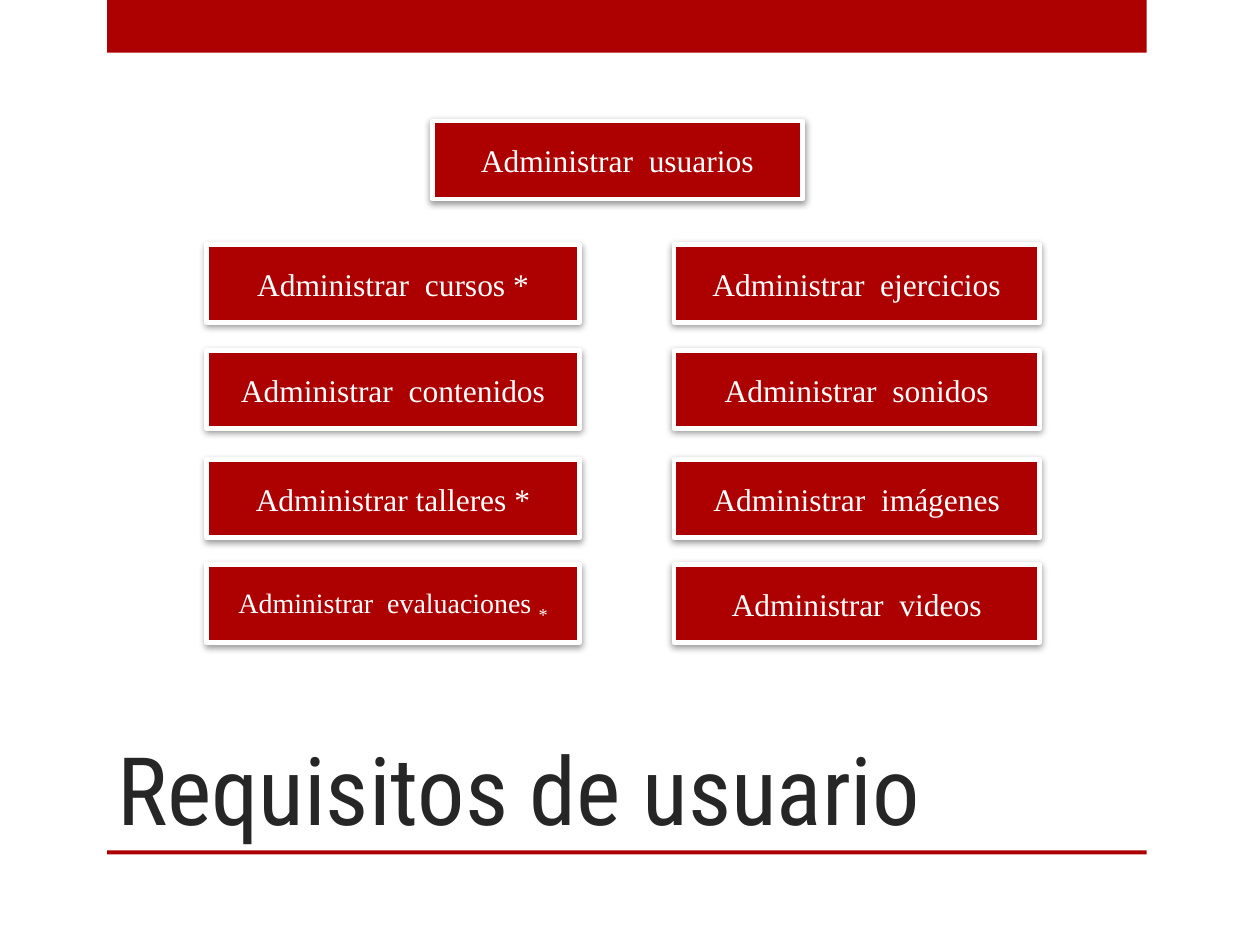
from lxml import etree
from pptx import Presentation
from pptx import util as u
from pptx.dml.color import RGBColor
from pptx.enum import shapes, text
from pptx.oxml import ns

RED, WHITE, DARK = "AD0101", "FFFFFF", "262626"
TITLE = "Requisitos de usuario"
BARS = [(0, 30.1), (486, 2.2)]
BAR_LEFT, BAR_WIDTH = 61.2, 594
BOX_HEIGHT = 44.6
ROW_TOPS = [139.7, 200.2, 262.8, 322.6]
TOP_BOX = (247, 69.1, 211.7, [("Administrar  usuarios", 18, 0)])
COLUMNS = [
    (385.2, 208.8, [
        [("Administrar  ejercicios", 18, 0)],
        [("Administrar  sonidos", 18, 0)],
        [("Administrar  imágenes", 18, 0)],
        [("Administrar  videos", 18, 0)],
    ]),
    (118.1, 213.1, [
        [("Administrar  cursos *", 18, 0)],
        [("Administrar  contenidos", 18, 0)],
        [("Administrar talleres *", 18, 0)],
        [("Administrar  evaluaciones ", 16, 0), ("*", 18, -25000)],
    ]),
]


def color(value):
    return RGBColor.from_string(value)


def add_rectangle(page, left, top, width, height):
    box = page.shapes.add_shape(
        shapes.MSO_SHAPE.RECTANGLE, u.Pt(left), u.Pt(top), u.Pt(width), u.Pt(height))
    box.fill.solid()
    box.fill.fore_color.rgb = color(RED)
    box.line.fill.background()
    box.shadow.inherit = False
    return box


def add_span(para, words, size, font, ink, baseline=0):
    span = para.add_run()
    span.text = words
    span.font.size = u.Pt(size)
    span.font.name = font
    span.font.color.rgb = color(ink)
    if baseline:
        span.font._element.set("baseline", str(baseline))


def add_shadow(box):
    effects = box._element.spPr.find(ns.qn("a:effectLst"))
    shadow = etree.SubElement(
        effects, ns.qn("a:outerShdw"), blurRad=str(u.Pt(4)), dist=str(u.Pt(1.25)),
        dir="5280000", rotWithShape="0")
    tint = etree.SubElement(shadow, ns.qn("a:srgbClr"), val="000000")
    etree.SubElement(tint, ns.qn("a:alpha"), val="40000")


def add_requirement(page, left, top, width, spans):
    box = add_rectangle(page, left, top, width, BOX_HEIGHT)
    box.line.color.rgb = color(WHITE)
    box.line.width = u.Pt(2.75)
    add_shadow(box)
    frame = box.text_frame
    frame.word_wrap = True
    frame.vertical_anchor = text.MSO_ANCHOR.MIDDLE
    para = frame.paragraphs[0]
    para.alignment = text.PP_ALIGN.CENTER
    for words, size, baseline in spans:
        add_span(para, words, size, "Times New Roman", WHITE, baseline)


def add_title(page):
    box = page.shapes.add_textbox(u.Pt(59.8), u.Pt(398.9), u.Pt(534.2), u.Pt(87.1))
    frame = box.text_frame
    frame.word_wrap = True
    frame.vertical_anchor = text.MSO_ANCHOR.BOTTOM
    add_span(frame.paragraphs[0], TITLE, 54, "Roboto Condensed", DARK)


def main():
    deck = Presentation()
    deck.slide_width, deck.slide_height = u.Pt(720), u.Pt(540)
    page = deck.slides.add_slide(deck.slide_layouts[6])
    for top, height in BARS:
        add_rectangle(page, BAR_LEFT, top, BAR_WIDTH, height)
    add_title(page)
    for left, width, entries in COLUMNS:
        for top, spans in zip(ROW_TOPS, entries):
            add_requirement(page, left, top, width, spans)
    add_requirement(page, *TOP_BOX)
    deck.save("out.pptx")


if __name__ == "__main__":
    main()
